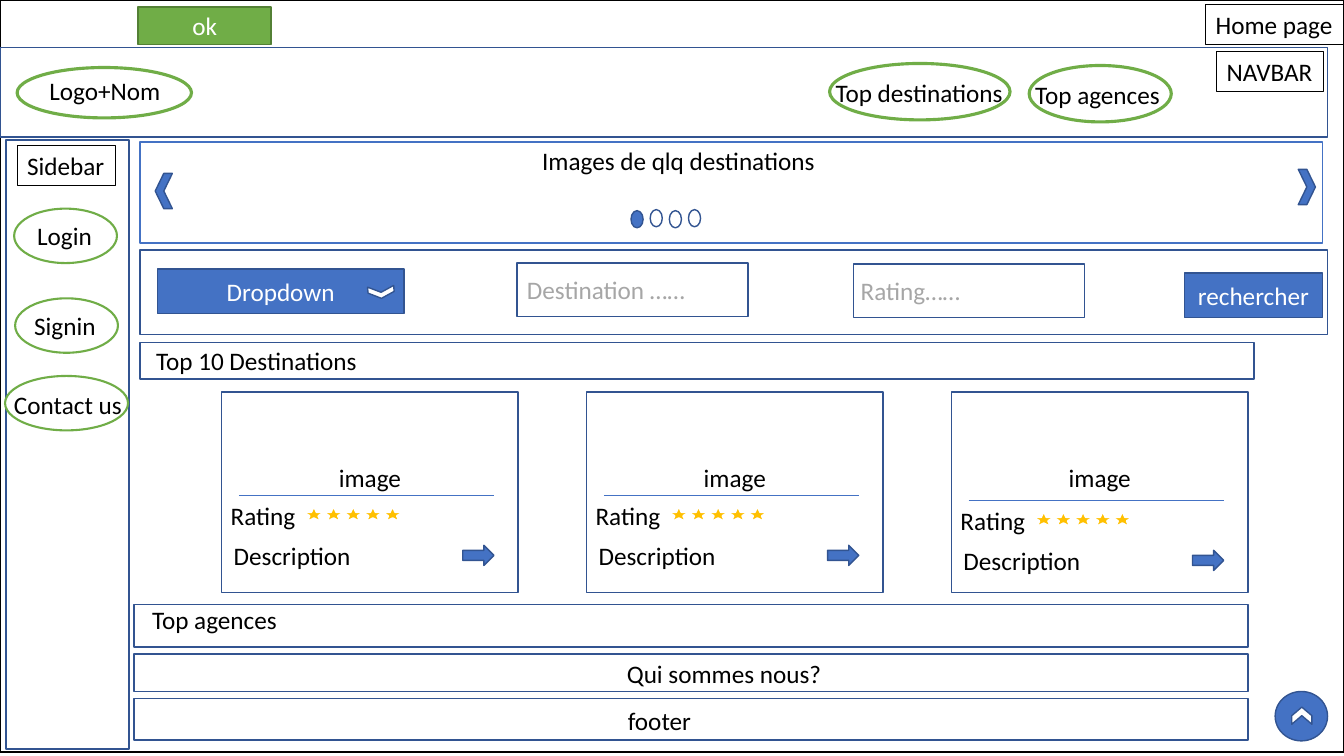
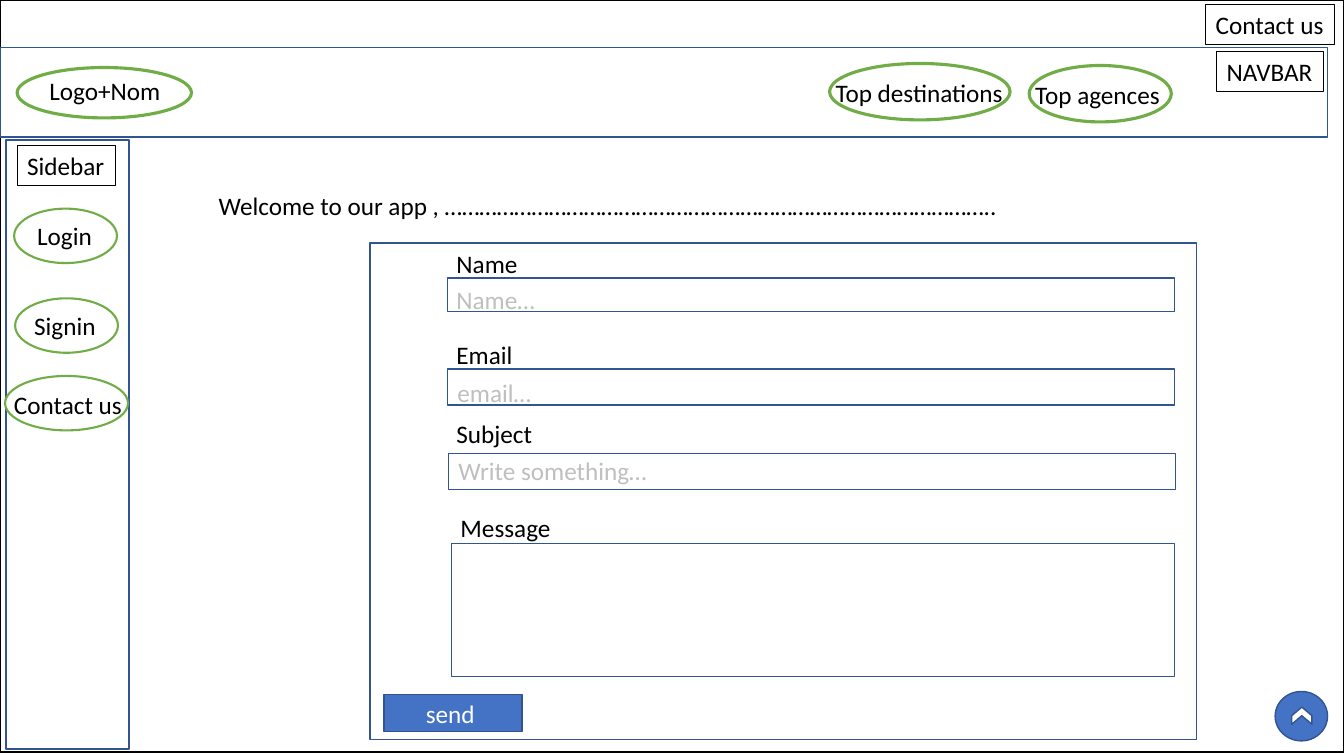
from dataclasses import dataclass
from typing import NamedTuple, Optional

from lxml.etree import SubElement
from pptx import Presentation
from pptx.dml.color import RGBColor
from pptx.enum.shapes import MSO_CONNECTOR, MSO_SHAPE
from pptx.enum.text import MSO_ANCHOR, MSO_AUTO_SIZE, PP_ALIGN
from pptx.oxml.ns import qn
from pptx.util import Inches, Pt

# Grid: square cells of a tenth of an inch
CELL = Inches(0.1)
COLS, ROWS = 133.33, 75

# Palette and type
FONT, SIZE = "Calibri", 18
BLACK, WHITE = "000000", "FFFFFF"
BLUE, NAVY = "4472C4", "325491"
GREEN, DARK_GREEN, GOLD = "70AD47", "538035", "FFC000"
GREY, LIGHT_GREY = "A6A6A6", "BFBFBF"


class Box(NamedTuple):
    x: float
    y: float
    w: float
    h: float


@dataclass(frozen=True)
class Pill:
    text: str
    oval: Box
    label: Box
    fill: Optional[str] = None
    weight: float = 2.25
    wrap: bool = False


@dataclass(frozen=True)
class Field:
    label: str
    label_box: Box
    frame: Box
    hint: str = ""
    hint_box: Optional[Box] = None


PILLS = [
    Pill("Logo+Nom", Box(1.7, 6.7, 17.3, 5), Box(3.9, 7, 13.2, 4)),
    Pill("Top destinations", Box(82.3, 6.3, 17.9, 5.6), Box(81.9, 7.2, 18.8, 4)),
    Pill("Top agences", Box(102.1, 6.5, 14.1, 5.6), Box(101.7, 7.4, 14.6, 4)),
    Pill("Login", Box(1.4, 20.7, 10.2, 5.4), Box(2.7, 21.4, 7.8, 4), WHITE, 1.5, True),
    Pill("Signin", Box(1.5, 29.6, 10.2, 5.4), Box(2.4, 30.3, 9.1, 4), WHITE, 1.5, True),
    Pill("Contact us", Box(0.5, 37.3, 12.2, 5.4), Box(0.4, 38.1, 16.1, 4), WHITE, 1.5, True),
]

TAGS = [
    ("NAVBAR", Box(120.7, 5.1, 10.6, 4)),
    ("Sidebar", Box(1.7, 14.4, 9.8, 4)),
]

SECTIONS = [
    ("Top 10 Destinations", Box(13.9, 34, 110.5, 3.6), Box(14.5, 33.8, 25.8, 4)),
    ("Top agences", Box(13.3, 60, 110.5, 4.2), Box(14.1, 59.5, 25.8, 4)),
    ("Qui sommes nous?", Box(13.3, 64.9, 110.5, 3.7), Box(61.2, 64.8, 25.8, 4)),
    ("footer", Box(13.3, 69.3, 110.5, 4.1), Box(61.3, 69.5, 25.8, 4)),
]

SEARCH_INPUTS = [
    ("Destination ……", Box(51.3, 26.1, 22.9, 5.3), Box(51.3, 26.7, 18, 4)),
    ("Rating……", Box(84.7, 26.2, 22.9, 5.3), Box(84.4, 26.8, 12, 4)),
]

FIELDS = [
    Field("Name", Box(44.3, 24.1, 8.1, 4), Box(44.4, 27.6, 72.1, 3.3),
          "Name…", Box(44.3, 27.7, 23.6, 4)),
    Field("Email", Box(44.3, 33.2, 7.6, 4), Box(44.4, 36.6, 72.1, 3.6),
          "email…", Box(44.4, 36.9, 23.6, 4)),
    Field("Subject", Box(44.3, 41, 9.6, 4), Box(44.5, 45, 72.1, 3.6),
          "Write something…", Box(44.5, 44.7, 23.6, 4)),
    Field("Message", Box(44.7, 50.3, 11, 4), Box(44.8, 53.9, 71.7, 13.2)),
]


def rgb(value: str) -> RGBColor:
    return RGBColor.from_string(value)


def emu(cells: float) -> int:
    return round(cells * CELL)


def place(box: Box) -> tuple:
    return tuple(emu(v) for v in box)


def write(sp, text: str, *, color: str = BLACK, align=PP_ALIGN.LEFT,
          anchor=MSO_ANCHOR.TOP, wrap: bool = True, right: float = 1,
          bottom: float = 0.5) -> None:
    tf = sp.text_frame
    tf.word_wrap = wrap
    tf.auto_size = MSO_AUTO_SIZE.NONE if wrap else MSO_AUTO_SIZE.SHAPE_TO_FIT_TEXT
    tf.vertical_anchor = anchor
    tf.margin_left, tf.margin_right = emu(1), emu(right)
    tf.margin_top, tf.margin_bottom = emu(0.5), emu(bottom)
    p = tf.paragraphs[0]
    p.alignment = align
    r = p.add_run()
    r.text = text
    r.font.name, r.font.size = FONT, Pt(SIZE)
    r.font.color.rgb = rgb(color)


def outline(sp, color: str, weight: float) -> None:
    sp.line.color.rgb = rgb(color)
    sp.line.width = Pt(weight)


def draw(shapes, box: Box, kind=MSO_SHAPE.RECTANGLE, *, fill: Optional[str] = None,
         line: str = NAVY, weight: float = 1, turn: float = 0):
    sp = shapes.add_shape(kind, *place(box))
    sp.shadow.inherit = False
    sp.rotation = turn
    if fill:
        sp.fill.solid()
        sp.fill.fore_color.rgb = rgb(fill)
    else:
        sp.fill.background()
    outline(sp, line, weight)
    return sp


def label(shapes, text: str, box: Box, **style):
    sp = shapes.add_textbox(*place(box))
    write(sp, text, **style)
    return sp


def button(shapes, text: str, box: Box, fill: str = BLUE, line: str = NAVY) -> None:
    sp = draw(shapes, box, fill=fill, line=line)
    write(sp, text, color=WHITE, align=PP_ALIGN.CENTER, anchor=MSO_ANCHOR.MIDDLE)


def rule(shapes, x: float, y: float, w: float) -> None:
    ln = shapes.add_connector(MSO_CONNECTOR.STRAIGHT, emu(x), emu(y), emu(x + w), emu(y))
    outline(ln, BLUE, 0.5)
    SubElement(ln._element.spPr, qn("a:effectLst"))


def pill(shapes, item: Pill) -> None:
    group = shapes.add_group_shape().shapes
    draw(group, item.oval, MSO_SHAPE.OVAL, fill=item.fill, line=GREEN, weight=item.weight)
    label(group, item.text, item.label, wrap=item.wrap)


def card(shapes, x: float, y: float, drop: float) -> None:
    group = shapes.add_group_shape().shapes
    sp = draw(group, Box(x, y, 29.4, 19.9), fill=WHITE)
    write(sp, "image", align=PP_ALIGN.CENTER, anchor=MSO_ANCHOR.MIDDLE, bottom=3.5)
    top = y + 10.2 + drop
    rule(group, x + 1.7, top, 25.3)
    label(group, "Rating", Box(x - 0.1, top, 9.1, 3.8))
    for i in range(5):
        draw(group, Box(x + 8 + 1.95 * i, top + 1.1, 2.3, 1.6), MSO_SHAPE.STAR_5_POINT,
             fill=GOLD, line=WHITE, weight=1.5)
    label(group, "Description", Box(x + 0.2, top + 4, 13.9, 3.8))
    draw(group, Box(x + 23.9, top + 5, 3.1, 2), MSO_SHAPE.RIGHT_ARROW, fill=BLUE)


def page(prs, title: str, title_box: Box):
    """Add a slide with its title tag, navbar, sidebar and back-to-top button."""
    s = prs.slides.add_slide(prs.slide_layouts[5])
    shapes = s.shapes
    sp = shapes.title
    sp.left, sp.top, sp.width, sp.height = place(title_box)
    # A fixed height keeps the tag from growing to the layout's title size
    write(sp, title, right=0)
    outline(sp, BLACK, 0.75)

    # Frame, navbar and sidebar
    draw(shapes, Box(0, 0, COLS, 74.6), line=BLACK)
    draw(shapes, Box(0, 4.7, 131.7, 8.9))
    draw(shapes, Box(0.6, 13.9, 12.2, 60.4))
    for text, box in TAGS:
        outline(label(shapes, text, box, wrap=False), BLACK, 0.75)
    for item in PILLS:
        pill(shapes, item)

    # Back to top
    draw(shapes, Box(126.5, 68.6, 5.2, 4.9), MSO_SHAPE.FLOWCHART_CONNECTOR, fill=BLUE)
    draw(shapes, Box(128.3, 70, 1.7, 2), MSO_SHAPE.CHEVRON, fill=WHITE, turn=270)
    return shapes


def home_page(prs) -> None:
    shapes = page(prs, "Home page", Box(119.6, 0.4, 13.7, 4))
    button(shapes, "ok", Box(13.7, 0.7, 13.2, 3.7), GREEN, DARK_GREEN)

    # Carousel
    draw(shapes, Box(13.9, 14.1, 117.3, 10), line=BLUE)
    for x, y, turn in ((128.8, 16.8, 0), (15.4, 17.2, 180)):
        draw(shapes, Box(x, y, 1.7, 3.5), MSO_SHAPE.CHEVRON, fill=BLUE, turn=turn)
    label(shapes, "Images de qlq destinations", Box(52.8, 13.9, 29.4, 4), wrap=False)
    for i in range(4):
        draw(shapes, Box(62.6 + 1.9 * i, 20.9 - 0.1 * (i % 2), 1.2, 1.7),
             MSO_SHAPE.FLOWCHART_CONNECTOR, fill=None if i else BLUE)

    # Search bar
    draw(shapes, Box(13.9, 24.8, 117.8, 8.4))
    button(shapes, "Dropdown", Box(15.6, 26.7, 24.5, 4.4))
    draw(shapes, Box(37.2, 27.7, 1.2, 2.6), MSO_SHAPE.CHEVRON, fill=WHITE, turn=86.1)
    for hint, frame, box in SEARCH_INPUTS:
        draw(shapes, frame)
        label(shapes, hint, box, color=GREY, wrap=False)
    button(shapes, "rechercher", Box(117.5, 27.1, 13.7, 4.4))

    # Destination cards and sections
    for i, drop in enumerate((0, 0, 0.5)):
        card(shapes, 22 + 36.2 * i, 38.9, drop)
    for text, bar, box in SECTIONS:
        draw(shapes, bar, fill=WHITE)
        label(shapes, text, box)


def contact_page(prs) -> None:
    shapes = page(prs, "Contact us", Box(119.6, 0.4, 12.8, 4))
    label(shapes, "Welcome to our app , " + "…" * 31 + "..", Box(20.7, 18.4, 101.9, 4))

    # Contact form
    draw(shapes, Box(36.7, 24.1, 82, 49.3), fill=WHITE)
    for field in FIELDS:
        draw(shapes, field.frame, fill=WHITE)
        label(shapes, field.label, field.label_box, wrap=False)
        if field.hint_box:
            label(shapes, field.hint, field.hint_box, color=LIGHT_GREY)
    button(shapes, "send ", Box(38.1, 68.9, 13.7, 3.7))


prs = Presentation()
prs.slide_width, prs.slide_height = emu(COLS), emu(ROWS)
home_page(prs)
contact_page(prs)
prs.save("out.pptx")
